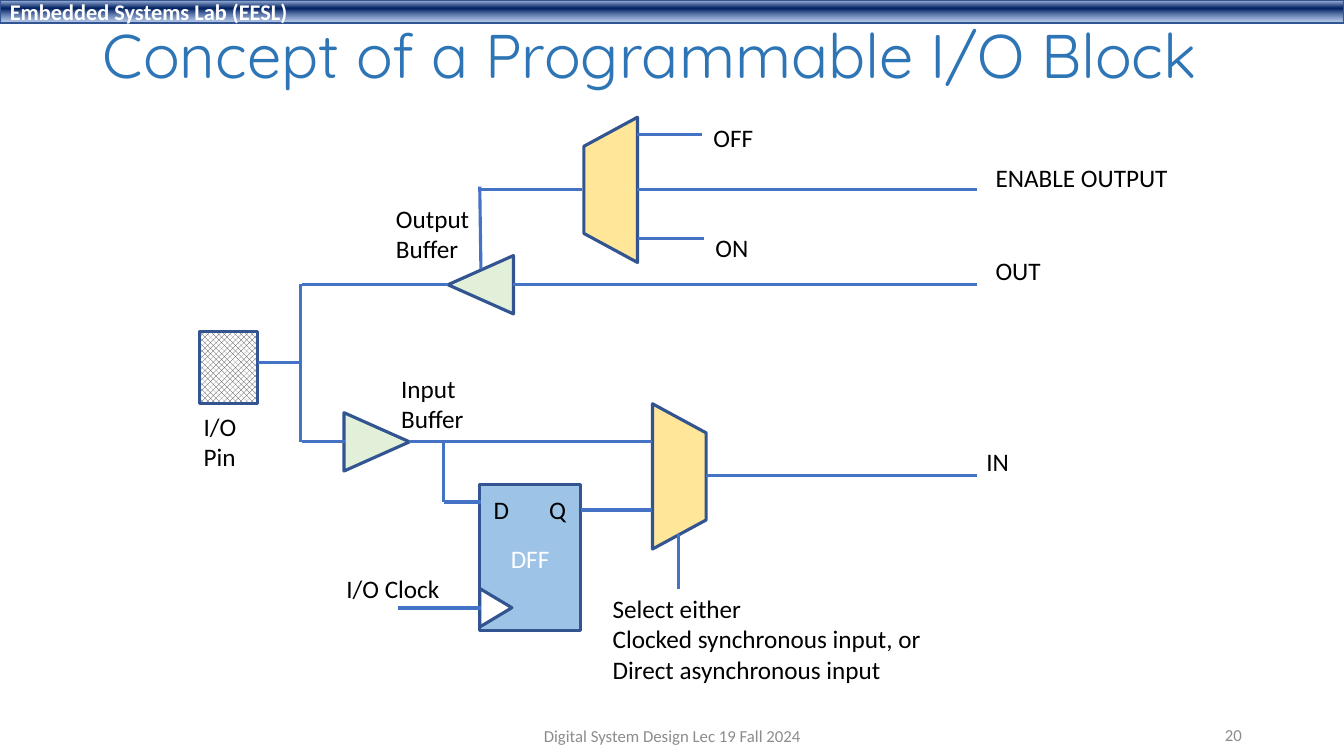
from lxml import etree
from pptx import Presentation
from pptx.dml.color import RGBColor
from pptx.enum import dml, shapes, text
from pptx.oxml.ns import qn
from pptx.util import Cm, Pt

rgb = RGBColor.from_string
Shape = shapes.MSO_SHAPE
Align = text.PP_ALIGN
Anchor = text.MSO_ANCHOR

NAVY, WIRE, WHITE, GREY = "325491", "4472C4", "FFFFFF", "8C8C8C"
GREEN, YELLOW, BLUE = "E2F0D9", "FFE699", "9DC3E6"


def write(frame, content, size=18, font="Calibri", color="000000", bold=False,
          align=Align.LEFT, anchor=Anchor.MIDDLE, wrap=True, spacing=None):
    frame.word_wrap = wrap
    frame.auto_size = (text.MSO_AUTO_SIZE.NONE if wrap
                       else text.MSO_AUTO_SIZE.SHAPE_TO_FIT_TEXT)
    frame.vertical_anchor = anchor
    frame.text = content
    for paragraph in frame.paragraphs:
        paragraph.alignment = align
        paragraph.line_spacing = spacing
        paragraph.font.size = Pt(size)
        paragraph.font.name = font
        paragraph.font.bold = bold
        paragraph.font.color.rgb = rgb(color)


def draw(kind, left, top, width, height, turn=0, fill=None, line_width=2.25):
    part = slide.shapes.add_shape(kind, Cm(left), Cm(top), Cm(width), Cm(height))
    part.rotation = turn
    part.shadow.inherit = False
    part.line.color.rgb = rgb(NAVY)
    part.line.width = Pt(line_width)
    if fill:
        part.fill.solid()
        part.fill.fore_color.rgb = rgb(fill)
    return part


deck = Presentation()
deck.slide_width, deck.slide_height = Cm(33.87), Cm(19.05)
slide = deck.slides.add_slide(deck.slide_layouts[5])

# Header bar with a three-stop gradient
header = draw(Shape.RECTANGLE, 0, 0, 33.87, 0.58, line_width=1)
header.fill.gradient()
header.fill.gradient_angle = 270
stops = header._element.spPr.find(qn("a:gradFill")).find(qn("a:gsLst"))
for stop in list(stops):
    stops.remove(stop)
for position, color, opacity in [(2, "ABC0E4", 100), (38, "002060", 100), (93, "7E9ED6", 64)]:
    stop = etree.SubElement(stops, qn("a:gs"), pos=str(position * 1000))
    shade = etree.SubElement(stop, qn("a:srgbClr"), val=color)
    if opacity < 100:
        etree.SubElement(shade, qn("a:alpha"), val=str(opacity * 1000))
write(header.text_frame, "Embedded Systems Lab (EESL)", size=16, color=WHITE, bold=True)

# Title
title = slide.shapes.title
title.left, title.top, title.width, title.height = Cm(2.34), Cm(0.36), Cm(29.21), Cm(2.21)
write(title.text_frame, "Concept of a Programmable I/O Block", size=44,
      font="Quicksand", color="2E75B6", spacing=0.9)

# Buffers, multiplexers, I/O pin and flip-flop
draw(Shape.ISOSCELES_TRIANGLE, 11.38, 6.35, 1.47, 1.65, 270, GREEN)
draw(Shape.ISOSCELES_TRIANGLE, 8.76, 10.31, 1.47, 1.65, 90, GREEN)
draw(Shape.FLOWCHART_MANUAL_OPERATION, 13.56, 4.11, 3.66, 1.35, 90, YELLOW)
draw(Shape.FLOWCHART_MANUAL_OPERATION, 15.29, 11.33, 3.66, 1.35, 270, YELLOW)

pin = draw(Shape.RECTANGLE, 5.03, 8.36, 1.47, 1.8)
pin.fill.patterned()
pin.fill.pattern = dml.MSO_PATTERN.LARGE_CHECKER_BOARD
pin.fill.fore_color.rgb = rgb("3B3838")
pin.fill.back_color.rgb = rgb(WHITE)

flip_flop = draw(Shape.RECTANGLE, 12.09, 12.22, 2.54, 3.68, fill=BLUE)
write(flip_flop.text_frame, "DFF", color=WHITE, align=Align.CENTER)
draw(Shape.ISOSCELES_TRIANGLE, 12.01, 14.91, 0.97, 0.81, 90, WHITE)

# Wires: x and y of each end
wires = [
    # output enable
    (12.12, 6.78, 12.09, 4.7), (12.12, 4.78, 14.66, 4.78),
    (16.05, 3.4, 17.7, 3.4), (16.05, 4.78, 24.61, 4.78), (16.08, 6.02, 17.73, 6.02),
    # output path and pin
    (12.93, 7.16, 24.61, 7.16), (11.28, 7.16, 7.62, 7.16),
    (7.57, 7.16, 7.57, 11.13), (7.57, 9.14, 6.5, 9.14),
    # input path
    (7.62, 11.13, 8.69, 11.13), (10.31, 11.13, 16.43, 11.13),
    (11.18, 11.13, 11.18, 12.65), (11.18, 12.65, 12.12, 12.65),
    (14.63, 12.85, 16.43, 12.85), (17.78, 11.99, 24.61, 11.99),
    # clock and input select
    (12.12, 15.32, 10.03, 15.32), (17.09, 13.46, 17.09, 14.83),
]
for ends in wires:
    wire = slide.shapes.add_connector(shapes.MSO_CONNECTOR.STRAIGHT, *map(Cm, ends))
    wire.line.color.rgb = rgb(WIRE)
    wire.line.width = Pt(2.25)
    etree.SubElement(wire._element.spPr, qn("a:effectLst"))

# Labels: left, top, width; height follows the number of lines
labels = [
    ("OUT", 24.84, 6.3, 1.65),
    ("IN", 24.61, 11.13, 1.09),
    ("ENABLE OUTPUT", 24.84, 3.96, 4.88),
    ("OFF", 17.73, 2.97, 1.52),
    ("ON", 17.78, 5.74, 1.35),
    ("Output\nBuffer", 9.73, 5, 2.39),
    ("Input\nBuffer", 9.86, 9.27, 2.11),
    ("I/O\nPin", 4.88, 10.24, 1.35),
    ("I/O Clock", 8.48, 14.33, 2.87),
    ("D", 12.19, 12.34, 0.9),
    ("Q", 13.59, 12.34, 0.93),
    ("Select either\nClocked synchronous input, or\nDirect asynchronous input",
     15.19, 14.83, 8.38),
]
for label, left, top, width in labels:
    height = 1.02 + 0.78 * label.count("\n")
    box = slide.shapes.add_textbox(Cm(left), Cm(top), Cm(width), Cm(height))
    write(box.text_frame, label, anchor=Anchor.TOP, wrap=False)

# Footer and page number
for note, left, top, width, align in [
    ("Digital System Design Lec 19 Fall 2024", 11.23, 18.03, 11.43, Align.CENTER),
    ("20", 23.93, 18.01, 7.62, Align.RIGHT),
]:
    box = slide.shapes.add_textbox(Cm(left), Cm(top), Cm(width), Cm(1.02))
    write(box.text_frame, note, size=12, color=GREY, align=align)

deck.save("out.pptx")
